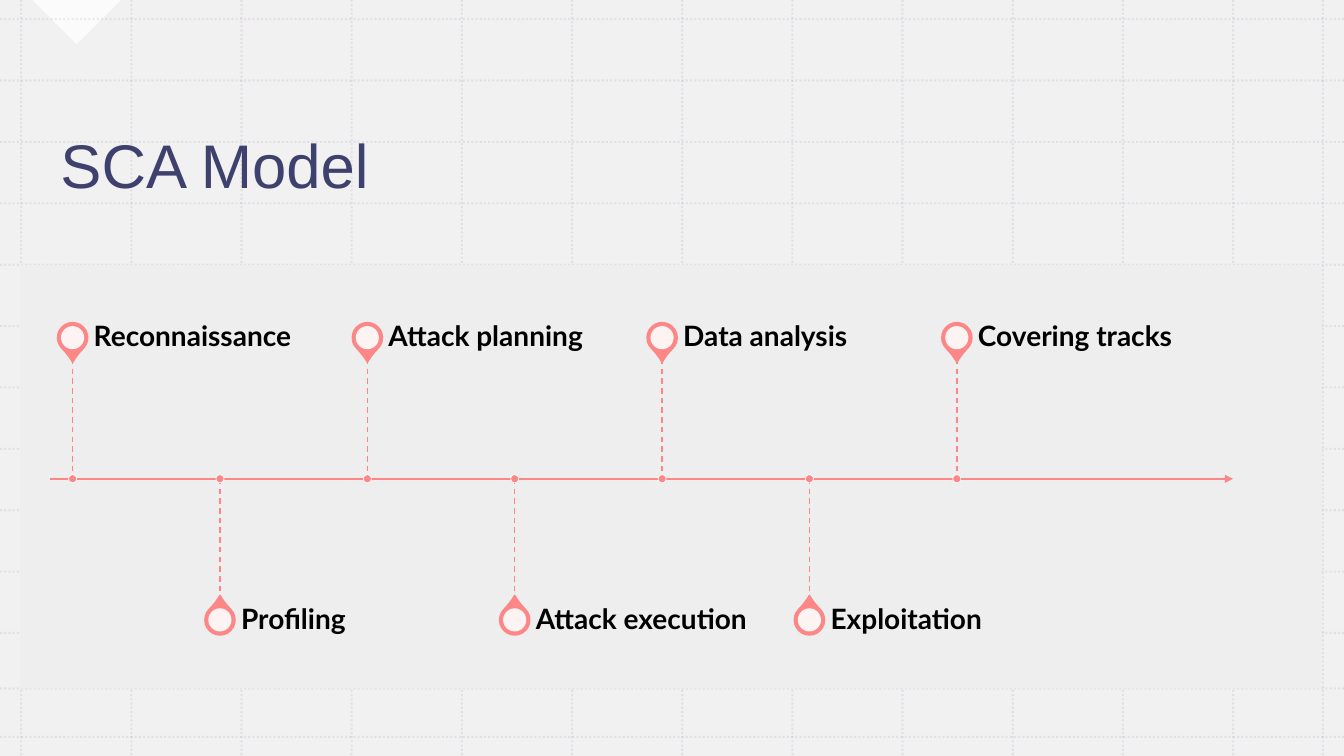
from lxml import etree
from pptx import Presentation
from pptx import util as u
from pptx.dml.color import RGBColor
from pptx.enum import dml, shapes, text
from pptx.oxml import ns

WIDTH, HEIGHT = 13.33, 7.5
CORAL, WHITE, GREY = "FD8686", "FFFFFF", "EEEEEE"


def paint(fill, colour, opacity=100):
    fill.solid()
    fill.fore_color.rgb = RGBColor.from_string(colour)
    if opacity < 100:
        tint = fill._xPr.find(ns.qn("a:solidFill"))[0]
        etree.SubElement(tint, ns.qn("a:alpha"), val=str(opacity * 1000))


def draw_line(group, x1, y1, x2, y2, colour, weight, dash=None, opacity=100):
    ends = [u.Inches(v) for v in (x1, y1, x2, y2)]
    line = group.shapes.add_connector(shapes.MSO_CONNECTOR.STRAIGHT, *ends)
    paint(line.line.fill, colour, opacity)
    line.line.width = u.Pt(weight)
    if dash:
        line.line.dash_style = dash
    etree.SubElement(line.element.spPr, ns.qn("a:effectLst"))
    return line


prs = Presentation()
prs.slide_width, prs.slide_height = u.Inches(WIDTH), u.Inches(HEIGHT)
slide = prs.slides.add_slide(prs.slide_layouts[5])
paint(slide.background.fill, "F1F1F1")

corner = slide.shapes.add_shape(
    shapes.MSO_SHAPE.RIGHT_TRIANGLE, *[u.Inches(v) for v in (0.45, -0.31, 0.62, 0.62)])
corner.rotation = 315
corner.shadow.inherit = False
paint(corner.fill, WHITE, 75)
corner.line.fill.background()

grid = slide.shapes.add_group_shape()
column_step = (12.23 - 0.21) / 11
row_step = (6.28 - 0.19) / 10
dots = dml.MSO_LINE.ROUND_DOT
for x in [0.21 + i * column_step for i in range(12)] + [13.12]:
    draw_line(grid, x, 0, x, HEIGHT, "B495C2", 1.5, dots, 20)
for y in [0.19 + i * row_step for i in range(11)] + [6.83, 7.31]:
    draw_line(grid, 0, y, WIDTH, y, "B495C2", 1.5, dots, 20)

title = slide.shapes.title
slide.shapes.element.append(title.element)
title.left, title.top, title.width, title.height = [
    u.Inches(v) for v in (0.5, 0.79, 11.75, 1.76)]
title.text_frame.text = "SCA Model"
title.text_frame.vertical_anchor = text.MSO_ANCHOR.MIDDLE
heading = title.text_frame.paragraphs[0]
heading.alignment = text.PP_ALIGN.LEFT
heading.line_spacing = 0.9
heading_font = heading.runs[0].font
heading_font.name, heading_font.size = "Arial", u.Pt(44)
paint(heading_font.fill, "12154E", 80)

panel = slide.shapes.add_shape(
    shapes.MSO_SHAPE.RECTANGLE, *[u.Inches(v) for v in (0.2, 2.63, 12.91, 4.2)])
panel.shadow.inherit = False
paint(panel.fill, GREY)
panel.line.fill.background()

timeline = slide.shapes.add_group_shape()
axis_y = 4.75
axis = draw_line(timeline, 0.5, axis_y, 12.23, axis_y, CORAL, 1.5)
etree.SubElement(axis.line._get_or_add_ln(), ns.qn("a:tailEnd"), type="triangle")

stages = ["Reconnaissance", "Profiling", "Attack planning", "Attack execution",
          "Data analysis", "Exploitation", "Covering tracks"]
stage_step = (9.49 - 0.72) / 6

for i, stage in enumerate(stages):
    x = 0.72 + i * stage_step
    side = 1 if i % 2 else -1
    pin_y = axis_y + side * 1.4
    stem_ends = sorted([axis_y, axis_y + side * 1.19])
    draw_line(timeline, x, stem_ends[0], x, stem_ends[1], CORAL, 1, dml.MSO_LINE.DASH)

    for kind, y, size, colour, opacity, outline, weight in [
        (shapes.MSO_SHAPE.TEAR, pin_y, 0.3, CORAL, 100, CORAL, 1),
        (shapes.MSO_SHAPE.OVAL, pin_y, 0.23, WHITE, 90, None, 0),
        (shapes.MSO_SHAPE.OVAL, axis_y, 0.08, CORAL, 100, WHITE, 0.5),
    ]:
        marker = timeline.shapes.add_shape(
            kind, *[u.Inches(v) for v in (x - size / 2, y - size / 2, size, size)])
        marker.shadow.inherit = False
        paint(marker.fill, colour, opacity)
        if outline:
            paint(marker.line.fill, outline)
            marker.line.width = u.Pt(weight)
        else:
            marker.line.fill.background()
        if kind == shapes.MSO_SHAPE.TEAR:
            marker.adjustments[0] = 1.15
            marker.rotation = 315 if side > 0 else 135

    label = timeline.shapes.add_textbox(
        *[u.Inches(v) for v in (x + 0.21, pin_y - 0.21, 2.44, 0.42)]).text_frame
    label.text = stage
    label.word_wrap = True
    label.vertical_anchor = text.MSO_ANCHOR.MIDDLE
    label.margin_left = label.margin_top = label.margin_bottom = 0
    label.margin_right = u.Inches(0.14)
    label.paragraphs[0].line_spacing = 0.9
    label_font = label.paragraphs[0].runs[0].font
    label_font.name, label_font.size, label_font.bold = "Lato", u.Pt(20), True
    paint(label_font.fill, "000000")

prs.save("out.pptx")
